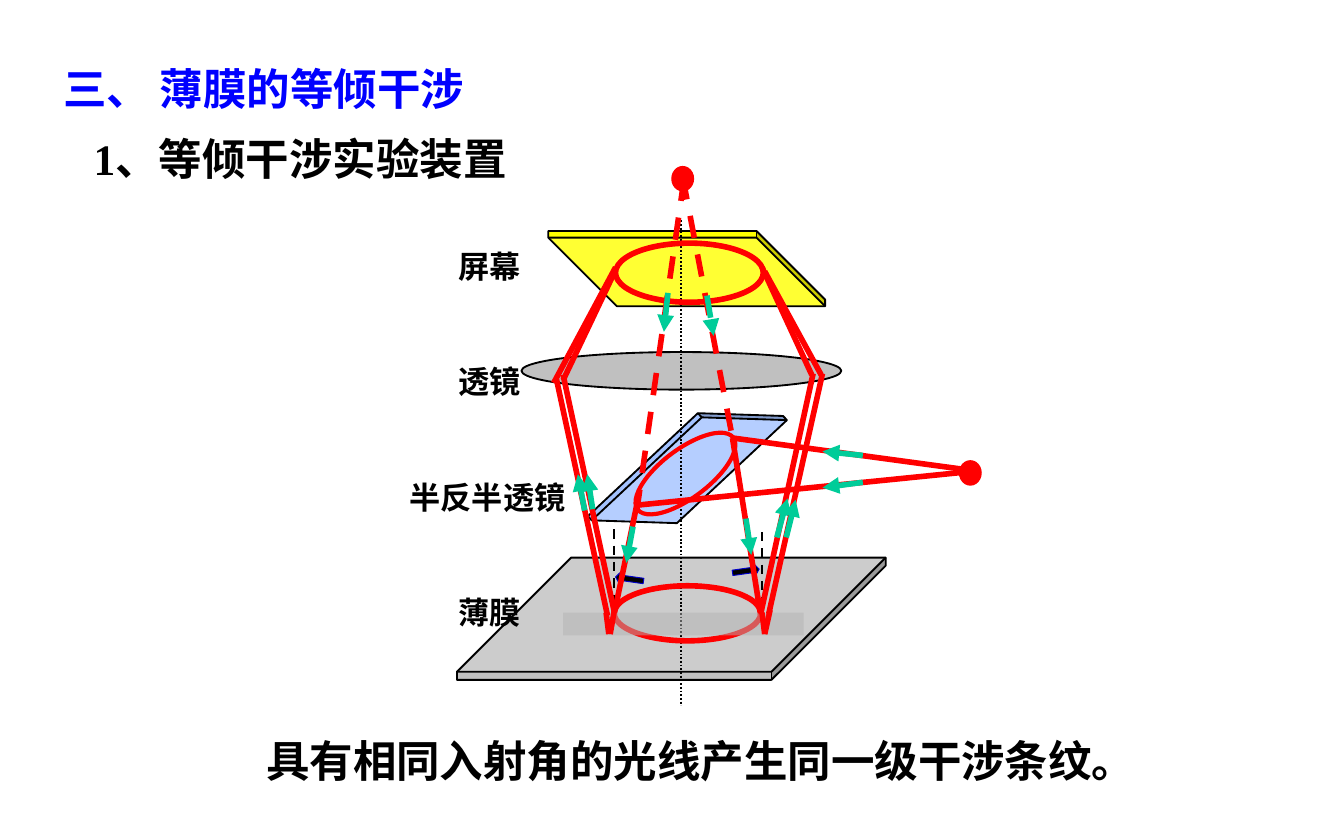
from lxml import etree
from pptx import Presentation
from pptx import util as u
from pptx.dml import color
from pptx.enum import dml, lang, shapes, text
from pptx.oxml import ns

COLORS = {
    "heading": "0000FF", "ink": "000000", "ray": "FF0000", "arrow": "00CC99",
    "glass": "C0C0C0", "screen": "FFFF00", "mirror": "A3C2FF",
    "tint": "B3B3B3", "normal": "0000CC",
}
LATIN, CHINESE = "Times New Roman", "Noto Sans CJK SC"
GRID_COLUMNS = 500  # drawing units across the apparatus box
SHAPE = shapes.MSO_SHAPE


def rgb(name):
    return color.RGBColor.from_string(COLORS[name])


def add_xml(parent, tag, **attributes):
    return etree.SubElement(parent, ns.qn(tag), attributes)


def write(shape, words, size, ink="ink", font=LATIN, spacing=None):
    """Put one bold, left-aligned paragraph into a shape."""
    frame = shape.text_frame
    frame.word_wrap = True
    frame.auto_size = text.MSO_AUTO_SIZE.SHAPE_TO_FIT_TEXT
    frame.vertical_anchor = text.MSO_ANCHOR.TOP
    paragraph = frame.paragraphs[0]
    paragraph.alignment = text.PP_ALIGN.LEFT
    paragraph.line_spacing = spacing or 1.0
    run = paragraph.add_run()
    run.text = words
    run.font.size, run.font.bold, run.font.name = u.Pt(size), True, font
    run.font.color.rgb = rgb(ink)
    run.font.language_id = lang.MSO_LANGUAGE_ID.SIMPLIFIED_CHINESE
    add_xml(run.font._element, "a:ea", typeface=CHINESE)
    return frame


class Stage:
    """A box, in cm, whose parts are placed on its own grid."""

    def __init__(self, slide, left, top, width):
        self.shapes = slide.shapes
        self.left, self.top, self.unit = left, top, width / GRID_COLUMNS

    def x(self, column):
        return u.Cm(self.left + column * self.unit)

    def y(self, row):
        return u.Cm(self.top + row * self.unit)

    def box(self, left, top, width, height):
        return (self.x(left), self.y(top),
                u.Cm(width * self.unit), u.Cm(height * self.unit))

    def solid(self, kind, box, fill=None, line=None, weight=1.0,
              turn=0, flip=None, adjust=()):
        shape = self.shapes.add_shape(kind, *self.box(*box))
        shape.shadow.inherit = False
        shape.rotation = turn
        for index, value in enumerate(adjust):
            shape.adjustments[index] = value
        if flip:
            shape.element.spPr.get_or_add_xfrm().set(flip, "1")
        if fill:
            shape.fill.solid()
            shape.fill.fore_color.rgb = rgb(fill)
        else:
            shape.fill.background()
        if line:
            shape.line.color.rgb = rgb(line)
            shape.line.width = u.Pt(weight)
        else:
            shape.line.fill.background()
        return shape

    def line(self, start, end, ink="ray", weight=3.0, dash=None, arrow=False):
        connector = self.shapes.add_connector(
            shapes.MSO_CONNECTOR.STRAIGHT,
            self.x(start[0]), self.y(start[1]), self.x(end[0]), self.y(end[1]))
        connector.line.color.rgb = rgb(ink)
        connector.line.width = u.Pt(weight)
        if dash:
            connector.line.dash_style = dash
        if arrow:
            add_xml(connector.line._get_or_add_ln(), "a:tailEnd", type="triangle")
        add_xml(connector.element.spPr, "a:effectLst")

    def ray(self, start, end, arrow_start, arrow_end, dash=None):
        self.line(start, end, dash=dash)
        self.line(arrow_start, arrow_end, "arrow", dash=dash, arrow=True)


def draw_title(slide, left, top, width, height):
    title = slide.shapes.title
    title.left, title.top = u.Cm(left), u.Cm(top)
    title.width, title.height = u.Cm(width), u.Cm(height)
    write(title, "三、 薄膜的等倾干涉", 23.3, "heading")


def draw_subtitle(slide, *box):
    subtitle = slide.shapes.add_textbox(*map(u.Cm, box))
    frame = write(subtitle, "1、等倾干涉实验装置", 23.3)
    frame.margin_left = frame.margin_right = u.Cm(0.2)
    frame.margin_top = frame.margin_bottom = u.Cm(0.1)


def draw_conclusion(slide, *box):
    conclusion = slide.shapes.add_textbox(*map(u.Cm, box))
    write(conclusion, "具有相同入射角的光线产生同一级干涉条纹。", 23.3,
          font=CHINESE, spacing=1.5)


def draw_source(stage, left, top):
    stage.solid(SHAPE.OVAL, (left, top, 16, 18), "ray", "ray", 0.75)


def draw_plates(stage):
    # Lens, film, screen, half mirror and optical axis
    stage.solid(SHAPE.OVAL, (138, 162, 238, 28), "glass", "ink")
    stage.solid(SHAPE.CUBE, (90, 315, 319, 91), "glass", "ink", adjust=[0.934])
    stage.solid(SHAPE.CUBE, (158, 72, 206, 56), "screen", "ink",
                flip="flipV", adjust=[0.912])
    stage.solid(SHAPE.CUBE, (183, 224, 157, 49), "mirror", "ink",
                turn=316.9, flip="flipV", adjust=[0.914])
    stage.line((257, 64), (257, 425), "ink", 1, dml.MSO_LINE.ROUND_DOT)


def draw_rings(stage):
    # Ring on the screen with the rays that reach it from inside
    stage.solid(SHAPE.OVAL, (208, 81, 110, 44), line="ray", weight=3)
    stage.line((317, 99), (354, 179))
    stage.line((208, 101), (169, 183))
    # Ring on the film, with surface normals and angle marks
    stage.solid(SHAPE.OVAL, (207, 336, 109, 41), line="ray", weight=3)
    for column, row in ((317, 296), (207, 294)):
        stage.line((column, row), (column, row + 59), "ink", 1.25,
                   dml.MSO_LINE.DASH)
    for box, turn, flip in (((295, 321, 20, 8), 351.9, None),
                            ((208, 327, 21, 8), 8.1, "flipH")):
        stage.solid(SHAPE.RIGHT_ARROW, box, "ink", "normal", 0.5,
                    turn, flip, [0.5, 0.38])
    # Ring on the half mirror
    stage.solid(SHAPE.OVAL, (242, 208, 36, 89), line="ray", weight=2.25, turn=53)


def draw_labels(stage):
    for words, left, top, width in (("薄膜", 81, 337, 79),
                                    ("半反半透镜", 45, 251, 172),
                                    ("透镜", 81, 165, 79),
                                    ("屏幕", 81, 79, 79)):
        label = stage.shapes.add_textbox(*stage.box(left, top, width, 38))
        write(label, words, 16.7)


def draw_rays(stage):
    # From the source to the half mirror, then down to the film
    for ray in (((472, 250), (295, 226), (392, 239), (362, 236)),
                ((472, 251), (224, 276), (392, 259), (362, 263)),
                ((295, 226), (316, 358), (305, 286), (309, 313)),
                ((224, 275), (207, 357), (221, 292), (216, 319))):
        stage.ray(*ray)

    # Film layer and the rays reflected inside it
    layer = stage.solid(SHAPE.RECTANGLE, (169, 356, 179, 17), "tint")
    tint = layer.element.spPr.find(ns.qn("a:solidFill"))[0]
    add_xml(tint, "a:alpha", val="50000")
    for start, end in (((207, 355), (204, 372)), ((201, 356), (203, 372)),
                       ((323, 354), (319, 372)), ((317, 356), (319, 372))):
        stage.line(start, end)

    # Outer rays from lens to screen
    stage.line((208, 99), (162, 185))
    stage.line((319, 102), (361, 179))

    # Rays between lens and film
    for ray in (((169, 179), (207, 355), (191, 279), (187, 253)),
                ((164, 182), (202, 358), (185, 280), (180, 253)),
                ((355, 178), (316, 357), (328, 300), (336, 271)),
                ((362, 178), (322, 357), (335, 300), (342, 272))):
        stage.ray(*ray)

    # Rays that seem to come from the image of the source
    for ray in (((259, 33), (224, 279), (247, 118), (244, 147)),
                ((258, 32), (295, 226), (276, 120), (281, 150))):
        stage.ray(*ray, dash=dml.MSO_LINE.DASH)


def draw_apparatus(slide, left, top, width):
    stage = Stage(slide, left, top, width)
    draw_source(stage, 464, 243)
    draw_plates(stage)
    draw_rings(stage)
    draw_labels(stage)
    draw_rays(stage)
    draw_source(stage, 250, 24)


def main():
    deck = Presentation()
    deck.slide_width, deck.slide_height = u.Cm(25.4), u.Cm(15.88)
    slide = deck.slides.add_slide(deck.slide_layouts.get_by_name("Title Only"))
    draw_title(slide, 0.94, 1.04, 10.26, 1.24)
    draw_subtitle(slide, 1.57, 2.39, 8.33, 1.22)
    draw_conclusion(slide, 4.78, 13.26, 17.86, 1.52)
    draw_apparatus(slide, 6.35, 2.54, 12.7)
    deck.save("out.pptx")


if __name__ == "__main__":
    main()
